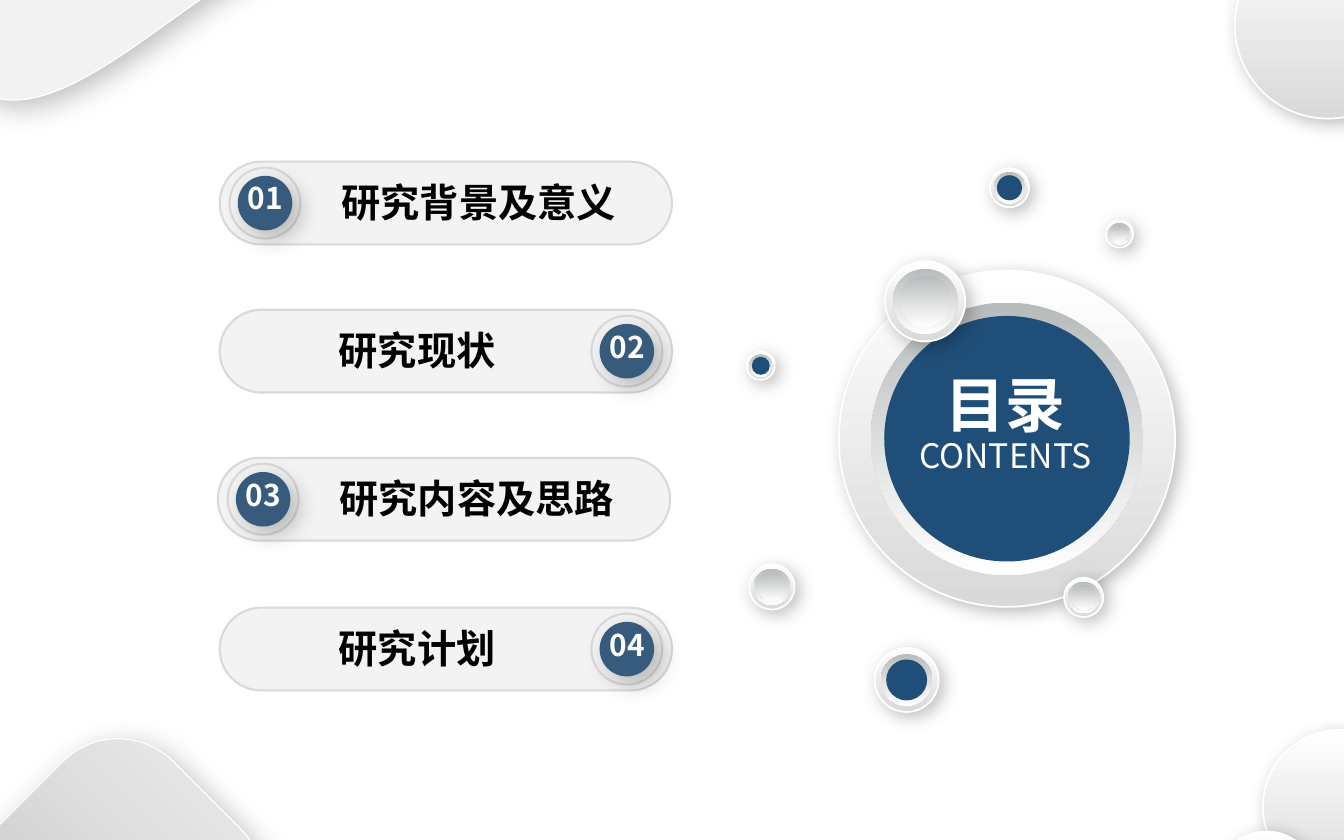
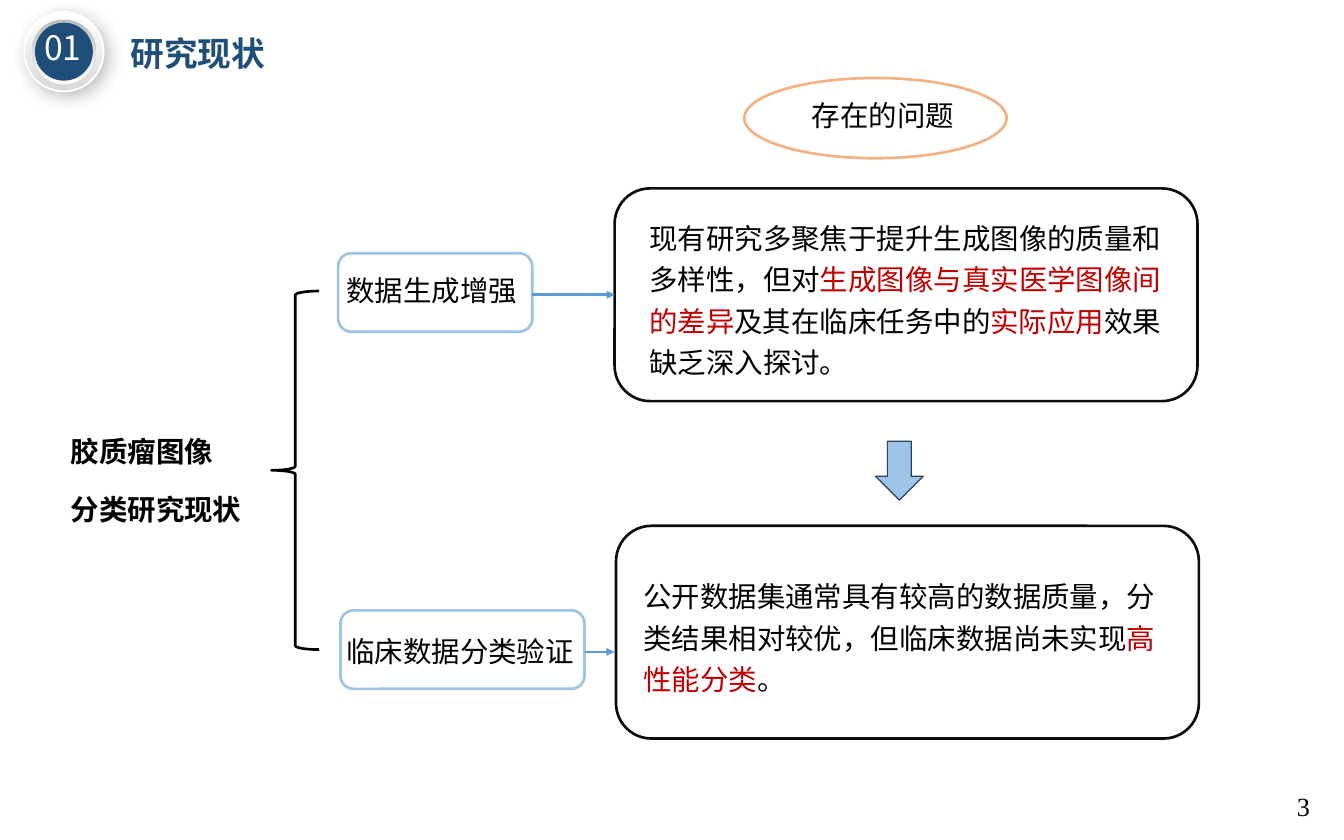
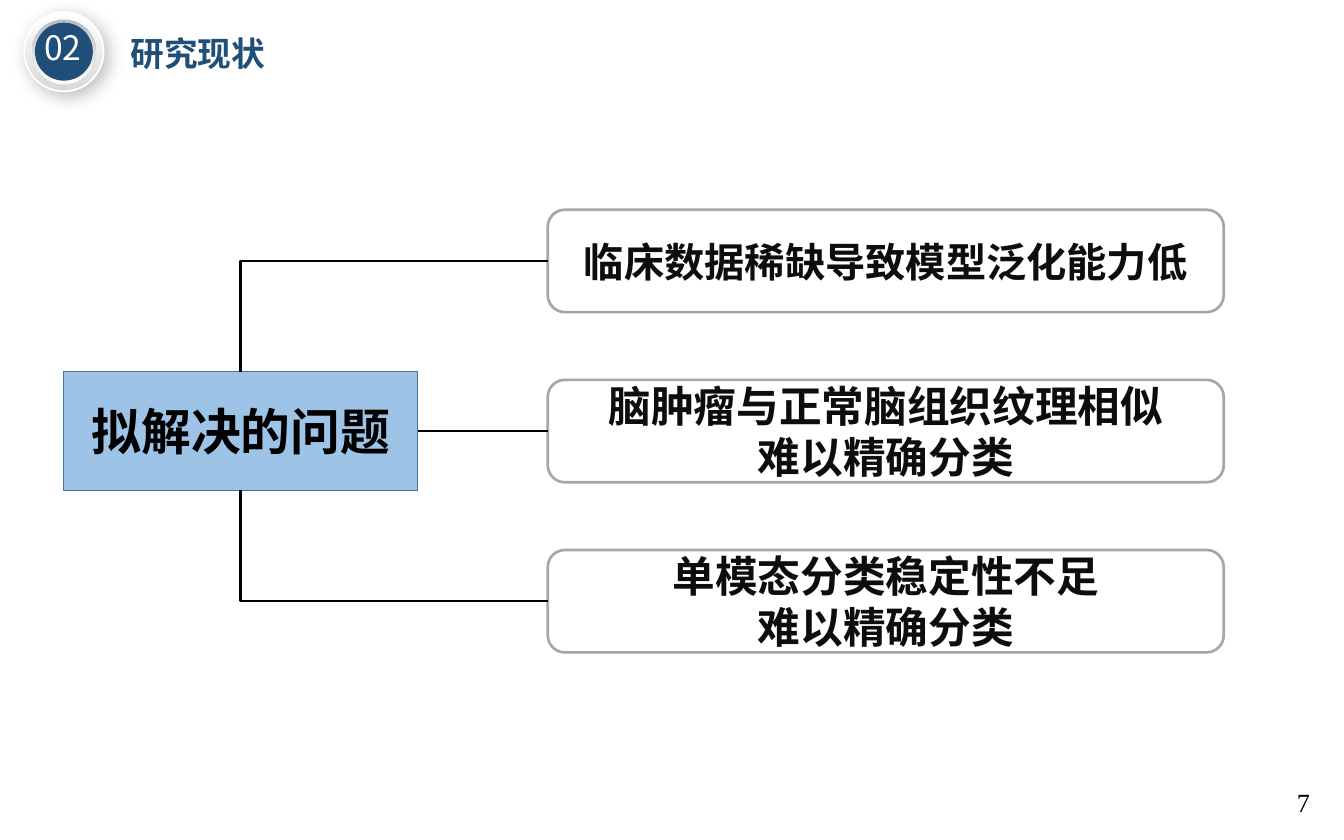
from lxml import etree
from pptx import Presentation
from pptx.dml.color import RGBColor
from pptx.enum import shapes, text
from pptx.oxml.ns import qn
from pptx.util import Pt

SANS, SERIF = "Noto Sans CJK SC", "Times New Roman"
NAVY, SLATE, SKY, ARROW_BLUE = "1F4E78", "375B7D", "9DC3E6", "5B9BD5"
BLACK, INK, WHITE, PALE, EDGE, RED = "000000", "0D0D0D", "FFFFFF", "F3F3F3", "D9D9D9", "C00000"
RAISED, SUNK = (WHITE, "D9D9D9"), ("B8BBBC", WHITE)
ORB_SHADOW, DOT_SHADOW, CORNER_SHADOW = (15, 5), (20, 9), (25, 8)
KIND = shapes.MSO_SHAPE
LEFT, CENTER, JUSTIFY = text.PP_ALIGN.LEFT, text.PP_ALIGN.CENTER, text.PP_ALIGN.JUSTIFY


def style(shape, fill=None, line=None, weight=1.0, shadow=None):
    """Fill is a hex colour or a top-to-bottom pair; shadow is (blur, distance)."""
    if fill is None:
        shape.fill.background()
    elif isinstance(fill, tuple):
        shape.fill.gradient()
        shape.fill.gradient_angle = 270
        for stop, color in zip(shape.fill.gradient_stops, fill):
            stop.color.rgb = RGBColor.from_string(color)
    else:
        shape.fill.solid()
        shape.fill.fore_color.rgb = RGBColor.from_string(fill)
    if line:
        shape.line.color.rgb = RGBColor.from_string(line)
        shape.line.width = Pt(weight)
    else:
        shape.line.fill.background()
    shape.shadow.inherit = False
    if shadow:
        effects = shape._element.spPr.find(qn("a:effectLst"))
        outer = etree.SubElement(effects, qn("a:outerShdw"), blurRad=str(Pt(shadow[0])),
                                 dist=str(Pt(shadow[1])), dir="2700000", algn="tl", rotWithShape="0")
        color = etree.SubElement(outer, qn("a:srgbClr"), val=BLACK)
        etree.SubElement(color, qn("a:alpha"), val="25000")
    return shape


def write(box, lines, size, color=BLACK, bold=False, align=LEFT, spacing=None, font=SANS):
    """Each line is a string or a list of spans in which every second one is red."""
    frame = box.text_frame
    frame.word_wrap = True
    for number, line in enumerate(lines):
        para = frame.paragraphs[0] if number == 0 else frame.add_paragraph()
        para.alignment = align
        if spacing:
            para.line_spacing = spacing
        para.font.name = font
        para.font.size = Pt(size)
        para.font.bold = bold
        para.font.color.rgb = RGBColor.from_string(color)
        etree.SubElement(para._p.pPr.find(qn("a:defRPr")), qn("a:ea"), typeface=SANS)
        for place, words in enumerate([line] if isinstance(line, str) else line):
            span = para.add_run()
            span.text = words
            if place % 2:
                span.font.color.rgb = RGBColor.from_string(RED)
    return frame


deck = Presentation()
deck.slide_width, deck.slide_height = Pt(1134), Pt(708.5)
contents, status, problems = [deck.slides.add_slide(deck.slide_layouts[6]) for _ in range(3)]

# Round buttons on all slides: page, left, top, diameter, core share, core fill
orbs = [
    (contents, 707.8, 228.2, 283.7, 0.73, NAVY),
    (contents, 738, 546.5, 54, 0.64, NAVY),
    (contents, 630, 296.6, 23.8, 0.64, NAVY),
    (contents, 632.2, 475.9, 38.2, 0.64, SUNK),
    (contents, 897.8, 487.4, 33.1, 0.64, SUNK),
    (contents, 746.8, 220.3, 67.7, 0.64, SUNK),
    (contents, 835.2, 141.8, 33.1, 0.64, NAVY),
    (contents, 933.1, 185.8, 23, 0.64, SUNK),
    (status, 20.4, 10.1, 67, 0.73, NAVY),
    (problems, 20.4, 10.1, 67, 0.73, NAVY),
]
for page, left, top, size, core, core_fill in orbs:
    layers = [(1, RAISED, WHITE, ORB_SHADOW), (0.81, SUNK, None, None), (core, core_fill, None, None)]
    for share, fill, line, shadow in layers:
        inset = size * (1 - share) / 2
        disc = page.shapes.add_shape(KIND.OVAL, Pt(left + inset), Pt(top + inset),
                                     Pt(size * share), Pt(size * share))
        style(disc, fill, line, 1.5, shadow)

# Header and page number of the content slides
for page, section, number, number_top in [(status, "01", "3", 663), (problems, "02", "7", 660)]:
    title = page.shapes.add_textbox(Pt(103), Pt(24.5), Pt(196.6), Pt(41.8))
    write(title, ["研究现状"], 28.4, NAVY, bold=True)
    badge = page.shapes.add_textbox(Pt(19.9), Pt(19.4), Pt(66.2), Pt(41.8))
    write(badge, [section], 28.4, WHITE, align=CENTER)
    footer = page.shapes.add_textbox(Pt(1087.2), Pt(number_top), Pt(36.7), Pt(33.8))
    write(footer, [number], 22.1, font=SERIF)

# Contents: corner decoration
curve = [(221.8, -29.5), (156.2, -7.9), (48.2, 117.4), (-18.7, 76.3)]
outline = []
for step in range(33):
    t = step / 32
    weights = [(1 - t) ** 3, 3 * t * (1 - t) ** 2, 3 * t ** 2 * (1 - t), t ** 3]
    outline.append(tuple(Pt(sum(w * point[axis] for w, point in zip(weights, curve)))
                         for axis in (0, 1)))
builder = contents.shapes.build_freeform(Pt(-18.7), Pt(-29.5))
builder.add_line_segments(outline, close=True)
style(builder.convert_to_shape(), "F2F2F2", WHITE, 1, CORNER_SHADOW)

diamond = contents.shapes.add_shape(KIND.ROUNDED_RECTANGLE, Pt(-9.4), Pt(638.6), Pt(212.4), Pt(220.3))
diamond.adjustments[0] = 0.31
diamond.rotation = 45
style(diamond, ("F2F2F2", "BFBFBF"), WHITE, 1, CORNER_SHADOW)

for left, top, size in [(1041.8, -57.6, 157.7), (1065.6, 615.6, 129.6), (1026, 701.3, 85)]:
    disc = contents.shapes.add_shape(KIND.OVAL, Pt(left), Pt(top), Pt(size), Pt(size))
    style(disc, RAISED, WHITE, 1.5, ORB_SHADOW)

# Contents: heading in the large button
for words, top, height, size, bold in [("CONTENTS", 363.6, 41.8, 28.4, False),
                                       ("目录", 306.7, 68.4, 50.4, True)]:
    heading = contents.shapes.add_textbox(Pt(733.7), Pt(top), Pt(229.7), Pt(height))
    write(heading, [words], size, WHITE, bold, CENTER)

# Contents: pills with the number alternately left and right
PILL_HEIGHT, KNOB, DOT = 69.8, 59.8, 46
chapters = [("研究背景及意义", 185.4, 136.4), ("研究现状", 185.4, 261.3),
            ("研究内容及思路", 183.8, 386.2), ("研究计划", 185.4, 512.6)]
for index, (chapter, left, top) in enumerate(chapters):
    knob_left, label_left, label_width = [(8.3, 91, 255), (313.6, 31.5, 270)][index % 2]
    pill = contents.shapes.add_shape(KIND.ROUNDED_RECTANGLE, Pt(left), Pt(top), Pt(381.6), Pt(PILL_HEIGHT))
    pill.adjustments[0] = 0.5
    style(pill, PALE, EDGE, 1.75)
    for size, fill, line, shadow in [(KNOB, PALE, EDGE, None), (DOT, SLATE, None, DOT_SHADOW)]:
        disc = contents.shapes.add_shape(KIND.OVAL, Pt(left + knob_left + (KNOB - size) / 2),
                                         Pt(top + (PILL_HEIGHT - size) / 2), Pt(size), Pt(size))
        style(disc, fill, line, 1.75, shadow)
    number = contents.shapes.add_textbox(Pt(left + knob_left + 0.4), Pt(top + 12), Pt(KNOB), Pt(38.2))
    write(number, [f"{index + 1:02d}"], 25.2, WHITE, True, CENTER)
    label = contents.shapes.add_textbox(Pt(left + label_left), Pt(top + 10.5), Pt(label_width), Pt(47.5))
    write(label, [chapter], 33.1, bold=True, align=CENTER)

# Status: outlines and the block arrow
outlines = [
    (KIND.ROUNDED_RECTANGLE, 285.3, 213.6, 163.8, 66.2, None, SKY, 2.25),
    (KIND.ROUNDED_RECTANGLE, 518.6, 158.9, 491.8, 179.4, None, INK, 2.25),
    (KIND.ROUNDED_RECTANGLE, 287.3, 514.8, 205.9, 66.2, None, SKY, 2.25),
    (KIND.ROUNDED_RECTANGLE, 519.8, 443.5, 491.8, 179.4, None, INK, 2.25),
    (KIND.LEFT_BRACE, 229, 245.5, 40.3, 302.4, None, BLACK, 2.25),
    (KIND.OVAL, 628, 65.8, 221.3, 67.7, None, "F4B183", 2.25),
    (KIND.DOWN_ARROW, 738.7, 372.2, 40.3, 49.7, SKY, "28445D", 1),
]
drawn = []
for kind, left, top, width, height, fill, line, weight in outlines:
    shape = status.shapes.add_shape(kind, Pt(left), Pt(top), Pt(width), Pt(height))
    drawn.append(style(shape, fill, line, weight))
finding = drawn[1]

# Status: texts
topic = status.shapes.add_textbox(Pt(52.6), Pt(347.8), Pt(196.6), Pt(95))
topic_frame = write(topic, ["胶质瘤图像", "分类研究现状"], 24, bold=True, align=JUSTIFY,
                    spacing=1.5, font=SERIF)
for para in topic_frame.paragraphs:
    para.space_after = Pt(6)

notes = [
    (285.1, 227, 177.8, 36, None, "数据生成增强"),
    (285.1, 528, 234.7, 35.3, Pt(32), "临床数据分类验证"),
    (677.8, 79.2, 163.4, 36, None, "存在的问题"),
    (540.7, 176.4, 455, 144, Pt(35),
     ["现有研究多聚焦于提升生成图像的质量和多样性，但对", "生成图像与真实医学图像间的差异",
      "及其在临床任务中的", "实际应用", "效果缺乏深入探讨。"]),
    (535.7, 478.8, 455, 108.7, Pt(35),
     ["公开数据集通常具有较高的数据质量，分类结果相对较优，但临床数据尚未实现", "高性能分类", "。"]),
]
for left, top, width, height, spacing, words in notes:
    note = status.shapes.add_textbox(Pt(left), Pt(top), Pt(width), Pt(height))
    write(note, [words], 24, spacing=spacing)

# Status: arrows
STRAIGHT, ELBOW = shapes.MSO_CONNECTOR.STRAIGHT, shapes.MSO_CONNECTOR.ELBOW
upper = status.shapes.add_connector(STRAIGHT, Pt(449.3), Pt(248.6), Pt(518.6), Pt(248.6))
upper.end_connect(finding, 1)
lower = status.shapes.add_connector(STRAIGHT, Pt(493.9), Pt(549.8), Pt(518.4), Pt(549.8))
connectors = [(upper, ARROW_BLUE), (lower, ARROW_BLUE)]

# Problems: root box, three branches and their connectors
MIDDLE, ROOT_HEIGHT, BRANCH_HEIGHT = 363.6, 100, 86.4
root = problems.shapes.add_shape(KIND.RECTANGLE, Pt(53.8), Pt(MIDDLE - ROOT_HEIGHT / 2), Pt(298.8), Pt(ROOT_HEIGHT))
style(root, SKY, "43739E", 1)
write(root, ["拟解决的问题"], 42, bold=True, align=CENTER)
branches = [
    (["临床数据稀缺导致模型泛化能力低"], 34, ELBOW, 0),
    (["脑肿瘤与正常脑组织纹理相似", "难以精确分类"], 36, STRAIGHT, 3),
    (["单模态分类稳定性不足", "难以精确分类"], 36, ELBOW, 2),
]
for index, (lines, size, kind, root_side) in enumerate(branches):
    center = MIDDLE + 143.5 * (index - 1)
    branch = problems.shapes.add_shape(KIND.ROUNDED_RECTANGLE, Pt(462.2), Pt(center - BRANCH_HEIGHT / 2),
                                       Pt(570.4), Pt(BRANCH_HEIGHT))
    style(branch, None, "A6A6A6", 2.25)
    write(branch, lines, size, INK, True, CENTER)
    link = problems.shapes.add_connector(kind, Pt(462.2), Pt(center), Pt(203.2), Pt(MIDDLE))
    link.begin_connect(branch, 1)
    link.end_connect(root, root_side)
    if kind == ELBOW:
        link._element.spPr.find(qn("a:prstGeom")).set("prst", "bentConnector2")
    connectors.append((link, BLACK))

# Connector style; the blue ones carry an arrowhead
for connector, color in connectors:
    connector.line.color.rgb = RGBColor.from_string(color)
    connector.line.width = Pt(2.25)
    properties = connector._element.spPr
    if color == ARROW_BLUE:
        etree.SubElement(properties.find(qn("a:ln")), qn("a:tailEnd"), type="triangle")
    etree.SubElement(properties, qn("a:effectLst"))

deck.save("out.pptx")
